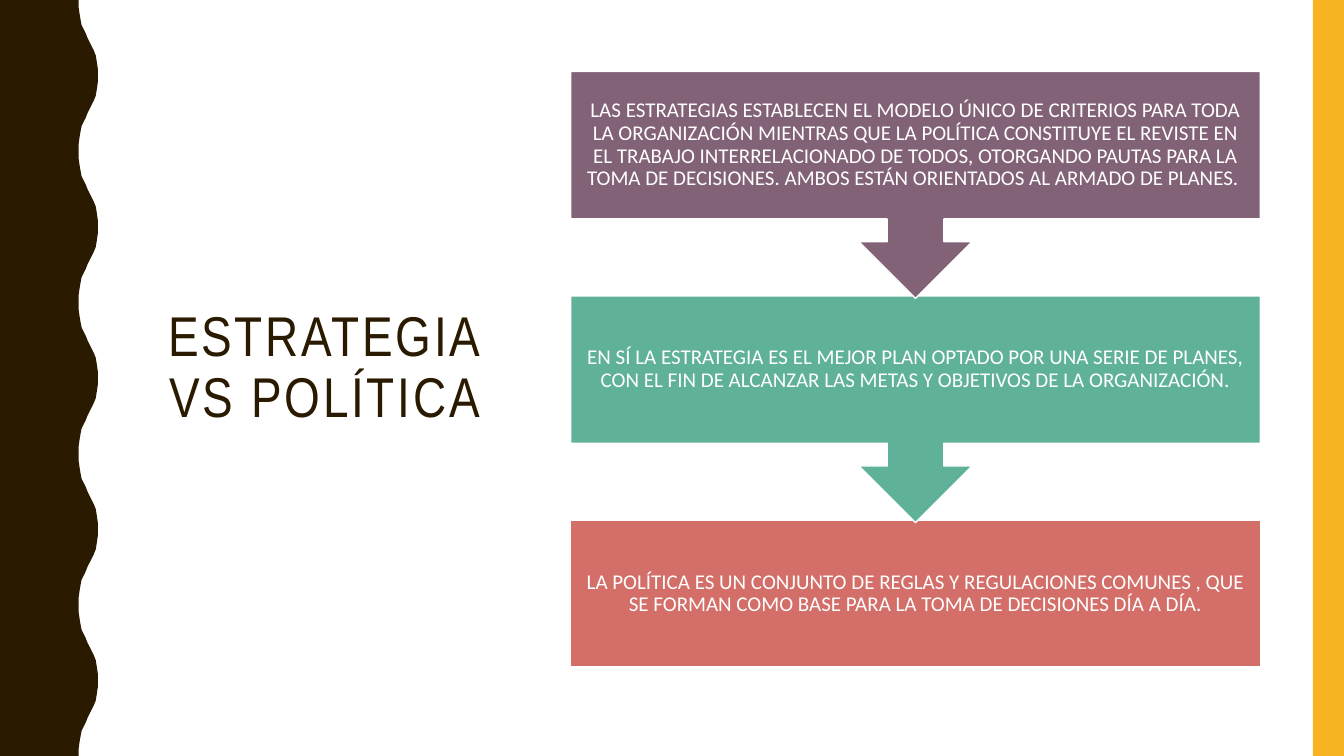
from pptx import Presentation
from pptx import util as u
from pptx.dml.color import RGBColor
from pptx.enum import shapes, text

COLORS = {
    "dark": "2A1A00", "gold": "F8B323", "white": "FFFFFF",
    "plum": "826276", "green": "5FB19A", "coral": "D36F68",
}
STEPS = [
    ("plum", "LAS ESTRATEGIAS ESTABLECEN EL MODELO ÚNICO DE CRITERIOS PARA TODA "
             "LA ORGANIZACIÓN MIENTRAS QUE LA POLÍTICA CONSTITUYE EL REVISTE EN "
             "EL TRABAJO INTERRELACIONADO DE TODOS, OTORGANDO PAUTAS PARA LA "
             "TOMA DE DECISIONES. AMBOS ESTÁN ORIENTADOS AL ARMADO DE PLANES. "),
    ("green", "EN SÍ LA ESTRATEGIA ES EL MEJOR PLAN OPTADO POR UNA SERIE DE PLANES, "
              "CON EL FIN DE ALCANZAR LAS METAS Y OBJETIVOS DE LA ORGANIZACIÓN."),
    ("coral", "LA POLÍTICA ES UN CONJUNTO DE REGLAS Y REGULACIONES COMUNES , QUE "
              "SE FORMAN COMO BASE PARA LA TOMA DE DECISIONES DÍA A DÍA."),
]
WIDTH, HEIGHT = 13.33, 7.5
WAVE_PERIOD = 1.5
WAVE_RISE = [
    (0.78, 0), (0.78, 0.07), (0.79, 0.14), (0.8, 0.2), (0.81, 0.25),
    (0.83, 0.29), (0.85, 0.33), (0.87, 0.38), (0.89, 0.42), (0.91, 0.46),
    (0.93, 0.5), (0.95, 0.55), (0.96, 0.61), (0.97, 0.68), (0.97, 0.75),
]
STEP_LEFT, STEP_TOP, STEP_WIDTH = 5.66, 0.71, 6.84
BOX_HEIGHT, CALLOUT_HEIGHT = 1.46, 2.25
STEP_PITCH = (5.16 - STEP_TOP) / 2


class SlideBuilder:
    """Hold the slide and its style, and draw each kind of element."""

    def __init__(self, presentation):
        self.slide = presentation.slides.add_slide(presentation.slide_layouts[5])
        self.shapes = self.slide.shapes

    def color(self, name):
        return RGBColor.from_string(COLORS[name])

    def paint(self, shape, fill, line=None):
        shape.shadow.inherit = False
        shape.fill.solid()
        shape.fill.fore_color.rgb = self.color(fill)
        if line:
            shape.line.color.rgb = self.color(line)
            shape.line.width = u.Pt(1)
        else:
            shape.line.fill.background()

    def add_text(self, frame, content, font, size, color):
        frame.word_wrap = True
        frame.auto_size = text.MSO_AUTO_SIZE.NONE
        frame.vertical_anchor = text.MSO_ANCHOR.MIDDLE
        paragraph = frame.paragraphs[0]
        paragraph.alignment = text.PP_ALIGN.CENTER
        paragraph.line_spacing = 0.9
        run = paragraph.add_run()
        run.text = content
        run.font.name = font
        run.font.size = u.Pt(size)
        run.font.color.rgb = self.color(color)
        return run

    def title(self, content, *bounds):
        shape = self.shapes.title
        shape.left, shape.top, shape.width, shape.height = map(u.Inches, bounds)
        run = self.add_text(shape.text_frame, content, "Arial Narrow", 40, "dark")
        run.font._element.set("spc", "200")

    def block(self, kind, fill, *bounds, line=None):
        shape = self.shapes.add_shape(kind, *map(u.Inches, bounds))
        self.paint(shape, fill, line)
        return shape

    def label(self, content, *bounds):
        frame = self.shapes.add_textbox(*map(u.Inches, bounds)).text_frame
        frame.margin_left = frame.margin_right = u.Inches(0.12)
        frame.margin_top = frame.margin_bottom = u.Inches(0.12)
        self.add_text(frame, content, "Calibri", 15, "white")

    def wave(self):
        fall = [(x, WAVE_PERIOD - y) for x, y in reversed(WAVE_RISE[:-1])]
        edge = [(x, y + WAVE_PERIOD * crest)
                for crest in range(5) for x, y in WAVE_RISE + fall]
        points = [(u.Inches(x), u.Inches(y)) for x, y in edge + [(0, HEIGHT)]]
        builder = self.shapes.build_freeform(0, 0)
        builder.add_line_segments(points, close=True)
        self.paint(builder.convert_to_shape(), "dark")

    def step(self, index, fill, content):
        top = STEP_TOP + index * STEP_PITCH
        if index == len(STEPS) - 1:
            kind, height, rotation = shapes.MSO_SHAPE.RECTANGLE, BOX_HEIGHT, 0
        else:
            kind = shapes.MSO_SHAPE.UP_ARROW_CALLOUT
            height, rotation = CALLOUT_HEIGHT, 180
        shape = self.block(kind, fill, STEP_LEFT, top, STEP_WIDTH, height, line="white")
        shape.rotation = rotation
        self.label(content, STEP_LEFT, top, STEP_WIDTH, BOX_HEIGHT)


def main():
    presentation = Presentation()
    presentation.slide_width = u.Inches(WIDTH)
    presentation.slide_height = u.Inches(HEIGHT)
    builder = SlideBuilder(presentation)
    builder.wave()
    builder.block(shapes.MSO_SHAPE.RECTANGLE, "gold", 13.02, 0, 0.31, HEIGHT)
    builder.title("ESTRATEGIA VS POLÍTICA", 1.37, 0.7, 3.7, 5.92)
    for index, (fill, content) in reversed(list(enumerate(STEPS))):
        builder.step(index, fill, content)
    presentation.save("out.pptx")


if __name__ == "__main__":
    main()
